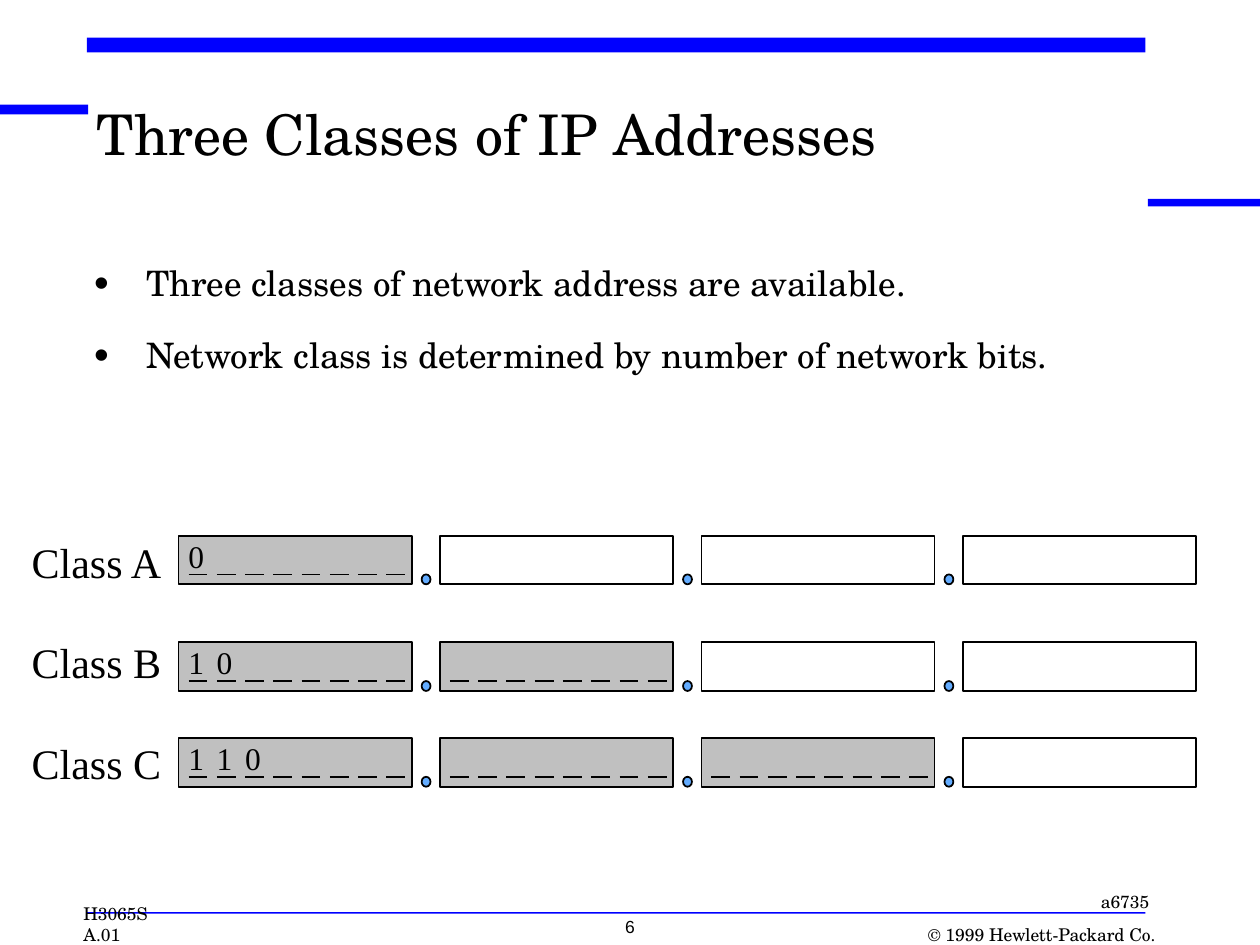
import pptx
import pptx.util
import pptx.dml.color
from pptx.enum.shapes import MSO_CONNECTOR, MSO_SHAPE
from pptx.enum.text import MSO_ANCHOR, MSO_AUTO_SIZE, PP_ALIGN
from pptx.oxml.xmlchemy import OxmlElement

Cm = pptx.util.Cm
Pt = pptx.util.Pt
RGBColor = pptx.dml.color.RGBColor

BLACK = RGBColor(0x00, 0x00, 0x00)
WHITE = RGBColor(0xFF, 0xFF, 0xFF)
BLUE = RGBColor(0x00, 0x00, 0xFF)
GREY = RGBColor(0xC0, 0xC0, 0xC0)
DOT_BLUE = RGBColor(0x63, 0xAC, 0xFF)
SCHOLA = "TeX Gyre Schola"
TIMES = "Times New Roman"

# Content
TITLE = "Three Classes of IP Addresses"
BULLETS = [  # text, line spacing, space before
    ("Three classes of network address are available.", 1.0, 0),
    ("Network class is determined by number of network bits.", 1.5, 5),
]
CLASSES = [  # label, leading bits, network octets, top of row in cm
    ("Class A", "0", 1, 10.8),
    ("Class B", "10", 2, 12.95),
    ("Class C", "110", 3, 14.88),
]
BARS = [  # left, top, width, height in cm
    (0, 2.11, 1.78, 0.2),
    (1.75, 0.76, 21.34, 0.3),
    (23.14, 4.01, 2.26, 0.15),
    (1.75, 18.39, 21.34, 0.03),
]
SMALL_TEXTS = [  # text, box in cm, font, alignment
    ("H3065S A.01", (1.68, 18.2, 2.0, 0.85), SCHOLA, PP_ALIGN.LEFT),
    ("© 1999 Hewlett-Packard Co.", (17.67, 18.62, 5.62, 0.43), SCHOLA, PP_ALIGN.RIGHT),
    ("a6735", (21.17, 17.96, 2.0, 0.43), SCHOLA, PP_ALIGN.RIGHT),
    ("6", (10.06, 18.47, 5.28, 0.43), "Arial", PP_ALIGN.CENTER),
]

# Octet grid in cm
OCTETS, BITS = 4, 8
OCTET_LEFT, OCTET_PITCH = 3.6, 5.27
OCTET_WIDTH, OCTET_HEIGHT = 4.7, 0.98
BIT_INSET, BIT_PITCH, BIT_WIDTH = 0.2, 0.57, 0.38
BASELINE = 0.78
DOT_OFFSET, DOT_WIDTH, DOT_HEIGHT = 4.9, 0.18, 0.2
LABEL_TOP, LABEL_PITCH = 10.82, 2.02


def add_run(paragraph, text, size, font):
    run = paragraph.add_run()
    run.text = text
    run.font.size = Pt(size)
    run.font.name = font
    run.font.color.rgb = BLACK


def prepare_frame(frame):
    frame.word_wrap = True
    frame.auto_size = MSO_AUTO_SIZE.NONE
    frame.vertical_anchor = MSO_ANCHOR.TOP
    frame.margin_left = frame.margin_right = 0
    frame.margin_top = frame.margin_bottom = 0
    return frame


def add_text_frame(slide, box):
    return prepare_frame(slide.shapes.add_textbox(*map(Cm, box)).text_frame)


def add_filled(slide, kind, box, fill, outlined=True):
    shape = slide.shapes.add_shape(kind, *map(Cm, box))
    shape.shadow.inherit = False
    shape.fill.solid()
    shape.fill.fore_color.rgb = fill
    if outlined:
        shape.line.color.rgb = BLACK
        shape.line.width = Pt(1)
    else:
        shape.line.fill.background()


def add_bit_dashes(slide, left, y):
    group = slide.shapes.add_group_shape()
    for bit in range(BITS):
        x = left + BIT_INSET + bit * BIT_PITCH
        dash = group.shapes.add_connector(
            MSO_CONNECTOR.STRAIGHT, Cm(x), Cm(y), Cm(x + BIT_WIDTH), Cm(y))
        dash.line.color.rgb = BLACK
        dash.line.width = Pt(1)
        dash._element.spPr.append(OxmlElement("a:effectLst"))


def add_bullet(paragraph):
    properties = paragraph._p.get_or_add_pPr()
    properties.set("marL", str(Cm(1.05)))
    properties.set("indent", str(-Cm(1.05)))
    for tag, name, value in (("a:buSzPct", "val", "120000"),
                             ("a:buFont", "typeface", "Arial"),
                             ("a:buChar", "char", "•")):
        element = OxmlElement(tag)
        element.set(name, value)
        properties.append(element)


def add_bit_tabs(paragraph):
    tabs = OxmlElement("a:tabLst")
    for bit in range(1, BITS):
        tab = OxmlElement("a:tab")
        tab.set("pos", str(Cm(bit * BIT_PITCH)))
        tab.set("algn", "l")
        tabs.append(tab)
    paragraph._p.get_or_add_pPr().append(tabs)


def add_class_row(slide, index, label, bits, network_octets, top):
    for octet in range(OCTETS):
        left = OCTET_LEFT + octet * OCTET_PITCH
        is_network = octet < network_octets
        add_filled(slide, MSO_SHAPE.RECTANGLE, (left, top, OCTET_WIDTH, OCTET_HEIGHT),
                   GREY if is_network else WHITE)
        if is_network:
            add_bit_dashes(slide, left, top + BASELINE)
        if octet < OCTETS - 1:
            add_filled(slide, MSO_SHAPE.OVAL,
                       (left + DOT_OFFSET, top + BASELINE, DOT_WIDTH, DOT_HEIGHT), DOT_BLUE)

    frame = add_text_frame(slide, (0.64, LABEL_TOP + index * LABEL_PITCH, 2.8, 1.0))
    add_run(frame.paragraphs[0], label, 24, TIMES)

    frame = add_text_frame(slide, (OCTET_LEFT + BIT_INSET, top + 0.02, 4.4, 0.75))
    add_bit_tabs(frame.paragraphs[0])
    add_run(frame.paragraphs[0], "\t".join(bits), 18, TIMES)


def main():
    presentation = pptx.Presentation()
    presentation.slide_width = Cm(25.4)
    presentation.slide_height = Cm(19.05)
    slide = presentation.slides.add_slide(presentation.slide_layouts[5])

    # Frame bars and small print
    for bar in BARS:
        add_filled(slide, MSO_SHAPE.RECTANGLE, bar, BLUE, outlined=False)
    for text, box, font, alignment in SMALL_TEXTS:
        paragraph = add_text_frame(slide, box).paragraphs[0]
        paragraph.alignment = alignment
        add_run(paragraph, text, 10, font)

    # Title
    title = slide.shapes.title
    title.left, title.top, title.width, title.height = map(Cm, (1.95, 2.21, 20.5, 1.7))
    paragraph = prepare_frame(title.text_frame).paragraphs[0]
    paragraph.alignment = PP_ALIGN.LEFT
    paragraph.line_spacing = 0.85
    add_run(paragraph, TITLE, 32, SCHOLA)

    # Bullets
    frame = add_text_frame(slide, (1.9, 5.28, 21.13, 2.64))
    for index, (text, line_spacing, space_before) in enumerate(BULLETS):
        paragraph = frame.add_paragraph() if index else frame.paragraphs[0]
        add_bullet(paragraph)
        paragraph.line_spacing = line_spacing
        paragraph.space_before = Pt(space_before)
        add_run(paragraph, text, 20, SCHOLA)

    # Address classes
    for index, row in enumerate(CLASSES):
        add_class_row(slide, index, *row)

    presentation.save("out.pptx")


if __name__ == "__main__":
    main()
